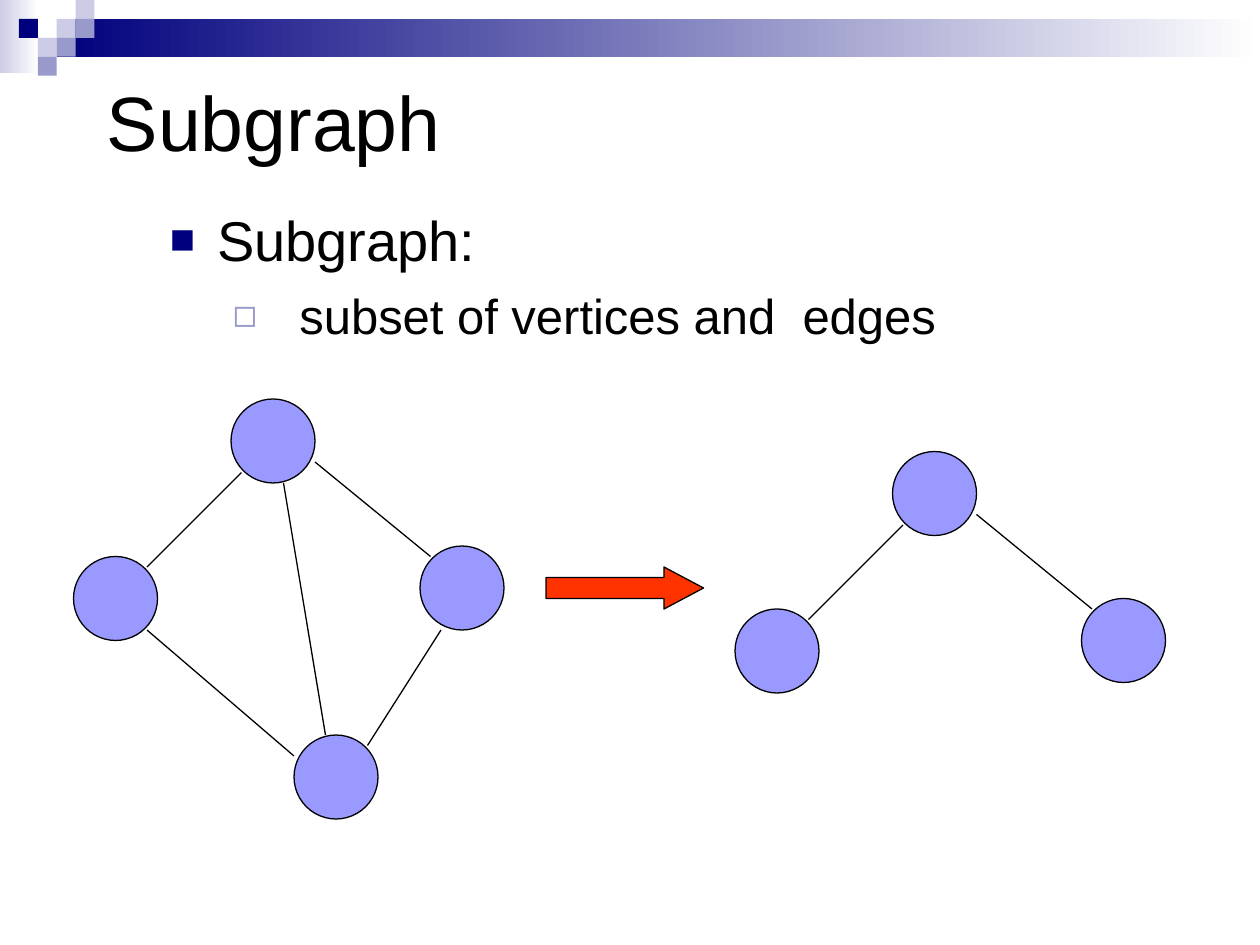
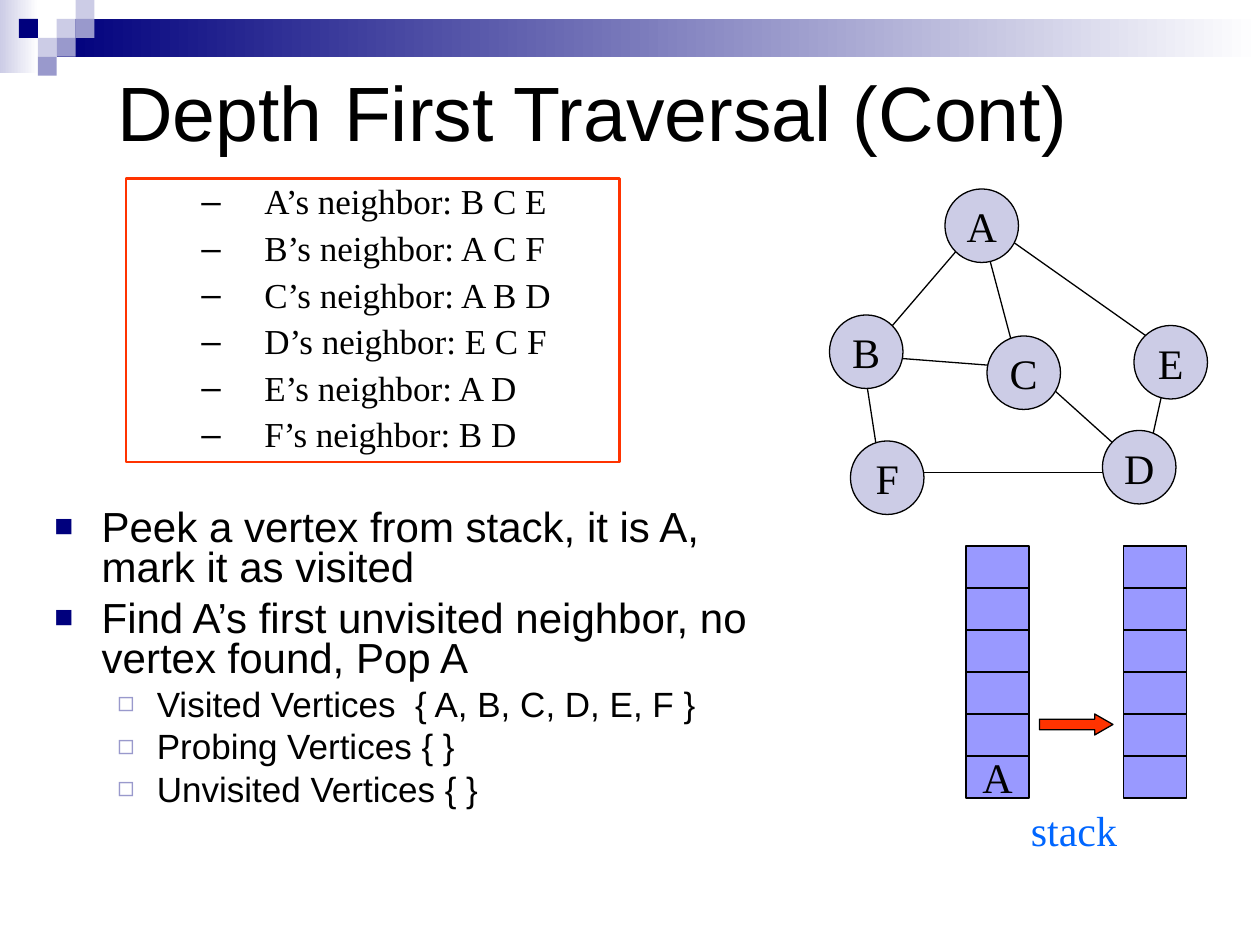
from lxml import etree
from pptx import Presentation
from pptx.dml.color import RGBColor
from pptx.enum.shapes import MSO_CONNECTOR as CONN, MSO_SHAPE as SHAPE
from pptx.enum.text import MSO_ANCHOR as ANCHOR, PP_ALIGN as ALIGN
from pptx.oxml.ns import qn
from pptx.util import Pt

NAVY, STEEL, MIST = "00007D", "9999CC", "CCCCE6"
BLACK, WHITE, LILAC, RED, BLUE = "000000", "FFFFFF", "9999FF", "FF3300", "0066FF"
SANS, SERIF = "Arial", "Times New Roman"

SQUARE = 10.8
SQUARES = [(3, 1, MIST), (4, 0, MIST), (4, 1, STEEL), (2, 2, MIST),
           (1, 1, NAVY), (3, 2, STEEL), (2, 3, STEEL)]

TOP = dict(char="■", color=NAVY, pct=75, left=27, hang=27)
SUB = dict(char="◻", color=STEEL, pct=80, left=58.5, hang=22.5)
SUB_WIDE = dict(SUB, left=74, hang=38)
DASH = dict(char="–", color=BLACK, pct=100, left=72, hang=36)

SUBGRAPH_TITLE = "Subgraph"
SUBGRAPH_TEXT = [("Subgraph:", 32, 8, TOP),
                 ("subset of vertices and  edges", 28, 7, SUB_WIDE)]
VERTEX = 48
VERTICES = [(132, 228), (240, 312), (42, 318), (168, 420)]
EDGES = [(138, 270, 84, 324), (180, 264, 246, 318), (84, 360, 168, 432),
         (210, 426, 252, 360), (162, 276, 186, 420)]
SUBSET_VERTICES, SUBSET_EDGES = VERTICES[:3], EDGES[:2]
SUBSET_SHIFT = (378, 30)

DFS_TITLE = "Depth First Traversal (Cont)"
NEIGHBORS = {"A": "B C E", "B": "A C F", "C": "A B D",
             "D": "E C F", "E": "A D", "F": "B D"}
DFS_TEXT = [("Peek a vertex from stack, it is A, mark it as visited", 24, 6, TOP),
            ("Find A’s first unvisited neighbor, no vertex found, Pop A", 24, 6, TOP),
            ("Visited Vertices  { A, B, C, D, E, F }", 20, 5, SUB),
            ("Probing Vertices { }", 20, 5, SUB),
            ("Unvisited Vertices { }", 20, 5, SUB)]
NODE = 42
NODES = {"A": (540, 108), "B": (474, 180), "C": (564, 192),
         "E": (648, 186), "F": (486, 252), "D": (630, 246)}
NODE_EDGES = [(504, 204, 582, 210), (546, 144, 510, 186), (558, 120, 582, 210),
              (570, 132, 672, 204), (492, 198, 504, 276), (666, 216, 654, 270),
              (588, 210, 648, 264), (516, 270, 642, 270)]
STACK_TOP, CELL_W, CELL_H = 312, 36, 24
STACKS = [(552, ["", "", "", "", "", "A"]), (642, [""] * 6)]


def rgb(value):
    return RGBColor.from_string(value)


def add_run(p, text, size, font, color=BLACK):
    r = p.add_run()
    r.text = text
    r.font.size, r.font.name = Pt(size), font
    r.font.color.rgb = rgb(color)


def add_bullet(p, char, color, pct, left, hang):
    pPr = p._p.get_or_add_pPr()
    pPr.set("marL", str(Pt(left)))
    pPr.set("indent", str(-Pt(hang)))
    clr = etree.SubElement(pPr, qn("a:buClr"))
    etree.SubElement(clr, qn("a:srgbClr"), val=color)
    etree.SubElement(pPr, qn("a:buSzPct"), val=str(pct * 1000))
    etree.SubElement(pPr, qn("a:buFont"), typeface=SANS)
    etree.SubElement(pPr, qn("a:buChar"), char=char)


def add_bullets(tf, items, font, spacing=1.0):
    tf.word_wrap = True
    tf.vertical_anchor = ANCHOR.TOP
    for i, (text, size, before, bullet) in enumerate(items):
        p = tf.add_paragraph() if i else tf.paragraphs[0]
        add_bullet(p, **bullet)
        p.alignment = ALIGN.LEFT
        p.line_spacing = spacing
        p.space_before = Pt(before if i else 0)
        add_run(p, text, size, font)


def add_box(slide, x, y, w, h):
    tf = slide.shapes.add_textbox(Pt(x), Pt(y), Pt(w), Pt(h)).text_frame
    tf.word_wrap = True
    return tf


def add_shape(slide, kind, x, y, w, h, fill=None, line=None, width=0.75, label=""):
    sp = slide.shapes.add_shape(kind, Pt(x), Pt(y), Pt(w), Pt(h))
    sp.shadow.inherit = False
    if fill:
        sp.fill.solid()
        sp.fill.fore_color.rgb = rgb(fill)
    else:
        sp.fill.background()
    if line:
        sp.line.color.rgb = rgb(line)
        sp.line.width = Pt(width)
    else:
        sp.line.fill.background()
    if label:
        tf = sp.text_frame
        tf.word_wrap = False
        tf.vertical_anchor = ANCHOR.MIDDLE
        tf.paragraphs[0].alignment = ALIGN.CENTER
        add_run(tf.paragraphs[0], label, 24, SERIF)
    return sp


def add_gradient(slide, x, y, w, h, start, end):
    sp = add_shape(slide, SHAPE.RECTANGLE, x, y, w, h)
    sp.fill.gradient()
    sp.fill.gradient_angle = 0
    for stop, color in zip(sp.fill.gradient_stops, (start, end)):
        stop.color.rgb = rgb(color)


def add_arrow(slide, x, y, w, h, head):
    sp = add_shape(slide, SHAPE.RIGHT_ARROW, x, y, w, h, RED, BLACK)
    sp.adjustments[1] = head


def add_edges(slide, edges, dx=0, dy=0):
    for x1, y1, x2, y2 in edges:
        c = slide.shapes.add_connector(CONN.STRAIGHT, Pt(x1 + dx), Pt(y1 + dy),
                                       Pt(x2 + dx), Pt(y2 + dy))
        c.line.color.rgb = rgb(BLACK)
        c.line.width = Pt(0.75)
        etree.SubElement(c._element.spPr, qn("a:effectLst"))


def add_graph(slide, vertices, edges, dx=0, dy=0):
    for x, y in vertices:
        add_shape(slide, SHAPE.OVAL, x + dx, y + dy, VERTEX, VERTEX, LILAC, BLACK)
    add_edges(slide, edges, dx, dy)


def new_slide(prs, title, x, y):
    slide = prs.slides.add_slide(prs.slide_layouts[6])
    add_gradient(slide, 0, 0, 22, 42, MIST, WHITE)
    add_gradient(slide, 3 * SQUARE, SQUARE, 720 - 3 * SQUARE, 2 * SQUARE, NAVY, WHITE)
    for col, row, color in SQUARES:
        add_shape(slide, SHAPE.RECTANGLE, col * SQUARE, row * SQUARE, SQUARE, SQUARE, color)
    tf = add_box(slide, x, y, 612, 90)
    tf.vertical_anchor = ANCHOR.MIDDLE
    add_run(tf.paragraphs[0], title, 44, SANS)
    return slide


def subgraph_slide(prs):
    slide = new_slide(prs, SUBGRAPH_TITLE, 54, 24)
    add_graph(slide, VERTICES, EDGES)
    add_graph(slide, SUBSET_VERTICES, SUBSET_EDGES, *SUBSET_SHIFT)
    add_bullets(add_box(slide, 90, 114, 576, 162), SUBGRAPH_TEXT, SANS)
    add_arrow(slide, 312, 324, 90, 24, 0.94)


def traversal_slide(prs):
    slide = new_slide(prs, DFS_TITLE, 60, 18)
    add_bullets(add_box(slide, 24, 288, 438, 180), DFS_TEXT, SANS, 0.8)

    frame = add_shape(slide, SHAPE.RECTANGLE, 72, 102, 282, 162, line=RED, width=1.5)
    rows = [(f"{name}’s neighbor: {others}", 20, 5, DASH)
            for name, others in NEIGHBORS.items()]
    add_bullets(frame.text_frame, rows, SERIF, 0.9)

    add_edges(slide, NODE_EDGES)
    for name, (x, y) in NODES.items():
        add_shape(slide, SHAPE.OVAL, x, y, NODE, NODE, MIST, BLACK, label=name)

    for x, cells in STACKS:
        for i, label in enumerate(cells):
            add_shape(slide, SHAPE.RECTANGLE, x, STACK_TOP + i * CELL_H, CELL_W, CELL_H,
                      LILAC, BLACK, label=label)
    add_arrow(slide, 594, 408, 42, 12, 0.87)
    add_run(add_box(slide, 582, 456, 66, 36).paragraphs[0], "stack", 24, SERIF, BLUE)


def main():
    prs = Presentation()
    prs.slide_width, prs.slide_height = Pt(720), Pt(540)
    subgraph_slide(prs)
    traversal_slide(prs)
    prs.save("out.pptx")


if __name__ == "__main__":
    main()
